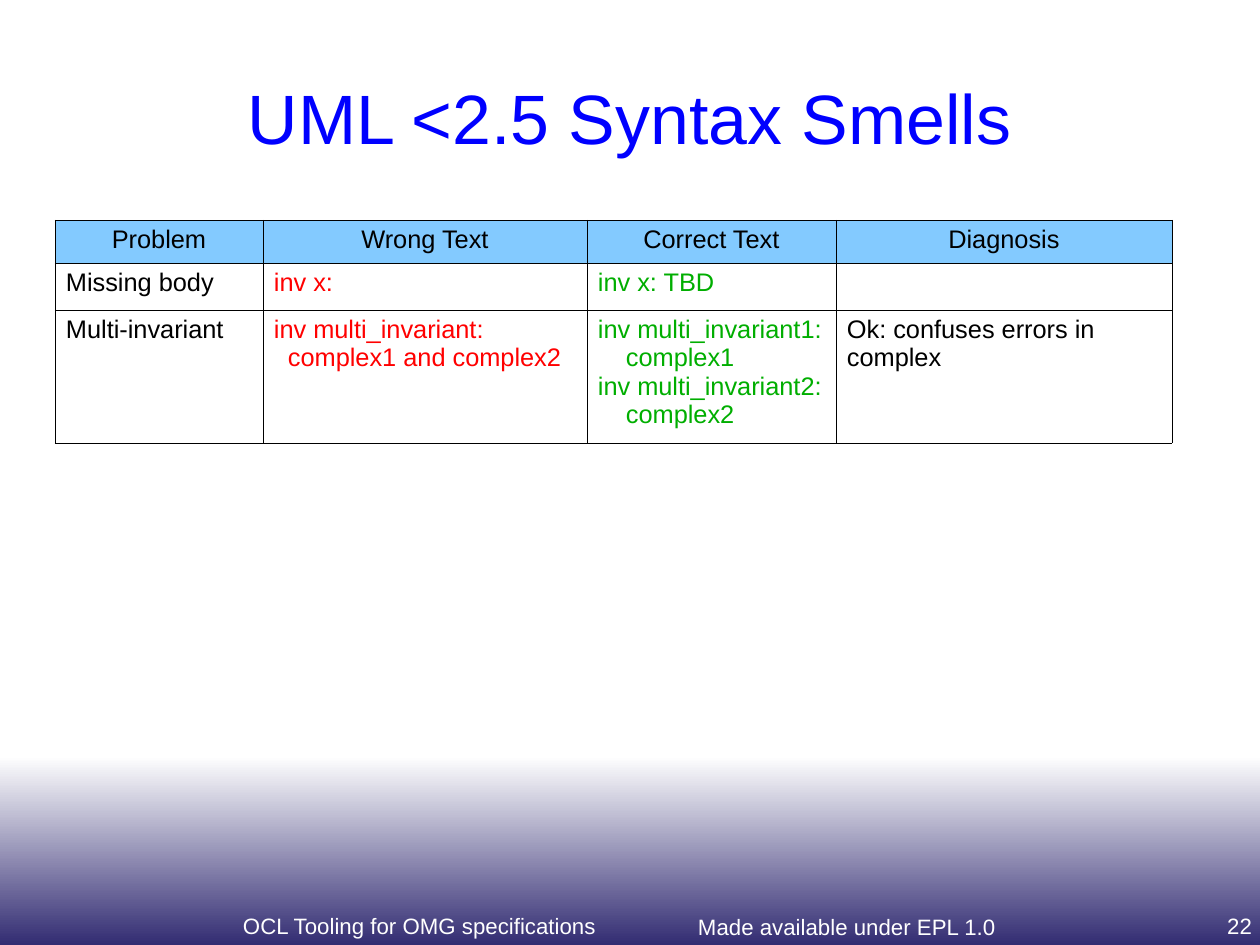
from lxml.etree import SubElement
from pptx import Presentation
from pptx.dml.color import RGBColor
from pptx.enum.text import MSO_ANCHOR as Anchor, MSO_AUTO_SIZE as AutoSize, PP_ALIGN as Align
from pptx.oxml.ns import qn
from pptx.util import Emu, Pt

PX = 8000
HEADER, PLAIN = "83CAFF", "FFFFFF"
BLACK, WRONG, CORRECT = "000000", "FF0000", "00AE00"
MARGINS = dict(margin_left=11, margin_right=11, margin_top=6, margin_bottom=6)
NO_MARGINS = dict.fromkeys(MARGINS, 0)


def px(length):
    return Emu(length * PX)


def colour(value):
    return RGBColor.from_string(value)


def assign(target, values):
    for name, value in values.items():
        setattr(target, name, value)


def place(shape, area):
    assign(shape, dict(zip(("left", "top", "width", "height"), map(px, area))))


class SlideBuilder:
    font = "Arial"

    def __init__(self, width, height):
        self.deck = Presentation()
        assign(self.deck, dict(slide_width=px(width), slide_height=px(height)))
        self.page = self.deck.slides.add_slide(self.deck.slide_layouts[5])

    def background(self, stops):
        fill = self.page.background.fill
        fill.gradient()
        fill.gradient_angle = 270
        for stop, (position, value) in zip(fill.gradient_stops, stops):
            stop.position = position
            stop.color.rgb = colour(value)

    def add_lines(self, frame, lines, size, value, align):
        for index, (words, indent) in enumerate(lines):
            para = frame.add_paragraph() if index else frame.paragraphs[0]
            para.alignment = align
            if indent:
                para._p.get_or_add_pPr().set("marL", str(px(indent)))
            span = para.add_run()
            span.text = words
            assign(span.font, dict(name=self.font, size=Pt(size)))
            span.font.color.rgb = colour(value)

    def margins(self, target, values):
        assign(target, {name: px(length) for name, length in values.items()})

    def title(self, words, area):
        box = self.page.shapes.title
        place(box, area)
        frame = box.text_frame
        self.margins(frame, NO_MARGINS)
        assign(frame, dict(auto_size=AutoSize.NONE, vertical_anchor=Anchor.MIDDLE))
        self.add_lines(frame, [(words, 0)], 44, "0000FF", Align.CENTER)

    def footer(self, words, area, align, margins=NO_MARGINS):
        frame = self.page.shapes.add_textbox(*map(px, area)).text_frame
        frame.word_wrap = True
        self.margins(frame, margins)
        self.add_lines(frame, [(words, 0)], 14, "FFFFFF", align)

    def border(self, cell):
        properties = cell._tc.get_or_add_tcPr()
        for index, side in enumerate(("lnL", "lnR", "lnT", "lnB")):
            line = properties.makeelement(qn(f"a:{side}"), {"w": str(Pt(0.06))})
            fill = SubElement(line, qn("a:solidFill"))
            SubElement(fill, qn("a:srgbClr"), val=BLACK)
            properties.insert(index, line)

    def table(self, left, top, columns, heights, rows):
        area = (left, top, sum(columns), sum(heights))
        table = self.page.shapes.add_table(
            len(heights), len(columns), *map(px, area)).table
        assign(table, dict(first_row=False, horz_banding=False))
        for column, width in zip(table.columns, columns):
            column.width = px(width)
        for index, (row, height) in enumerate(zip(table.rows, heights)):
            row.height = px(height)
            background, align = (PLAIN, Align.LEFT) if index else (HEADER, Align.CENTER)
            for cell, (value, lines) in zip(row.cells, rows[index]):
                self.margins(cell, MARGINS)
                cell.fill.solid()
                cell.fill.fore_color.rgb = colour(background)
                self.border(cell)
                self.add_lines(cell.text_frame, lines, 16, value, align)


def main():
    builder = SlideBuilder(1260, 945)
    builder.background([(0.8, "FFFFFF"), (1, "322C72")])
    builder.title("UML <2.5 Syntax Smells", (63, 38, 1134, 158))
    headings = ("Problem", "Wrong Text", "Correct Text", "Diagnosis")
    builder.table(55, 220, (208, 324, 249, 336), (43, 46, 133), [
        [(BLACK, [(heading, 0)]) for heading in headings],
        [(BLACK, [("Missing body", 0)]),
         (WRONG, [("inv x:", 0)]),
         (CORRECT, [("inv x: TBD", 0)]),
         (BLACK, [])],
        [(BLACK, [("Multi-invariant", 0)]),
         (WRONG, [("inv multi_invariant:", 0), ("complex1 and complex2", 14)]),
         (CORRECT, [("inv multi_invariant1:", 0), ("complex1", 28),
                    ("inv multi_invariant2:", 0), ("complex2", 28)]),
         (BLACK, [("Ok: confuses errors in complex", 0)])],
    ])
    builder.footer("OCL Tooling for OMG specifications", (231, 912, 377, 32), Align.CENTER)
    builder.footer("Made available under EPL 1.0", (687, 907, 321, 37), Align.LEFT, MARGINS)
    builder.footer("22", (1199, 912, 53, 32), Align.RIGHT)
    builder.deck.save("out.pptx")


if __name__ == "__main__":
    main()
